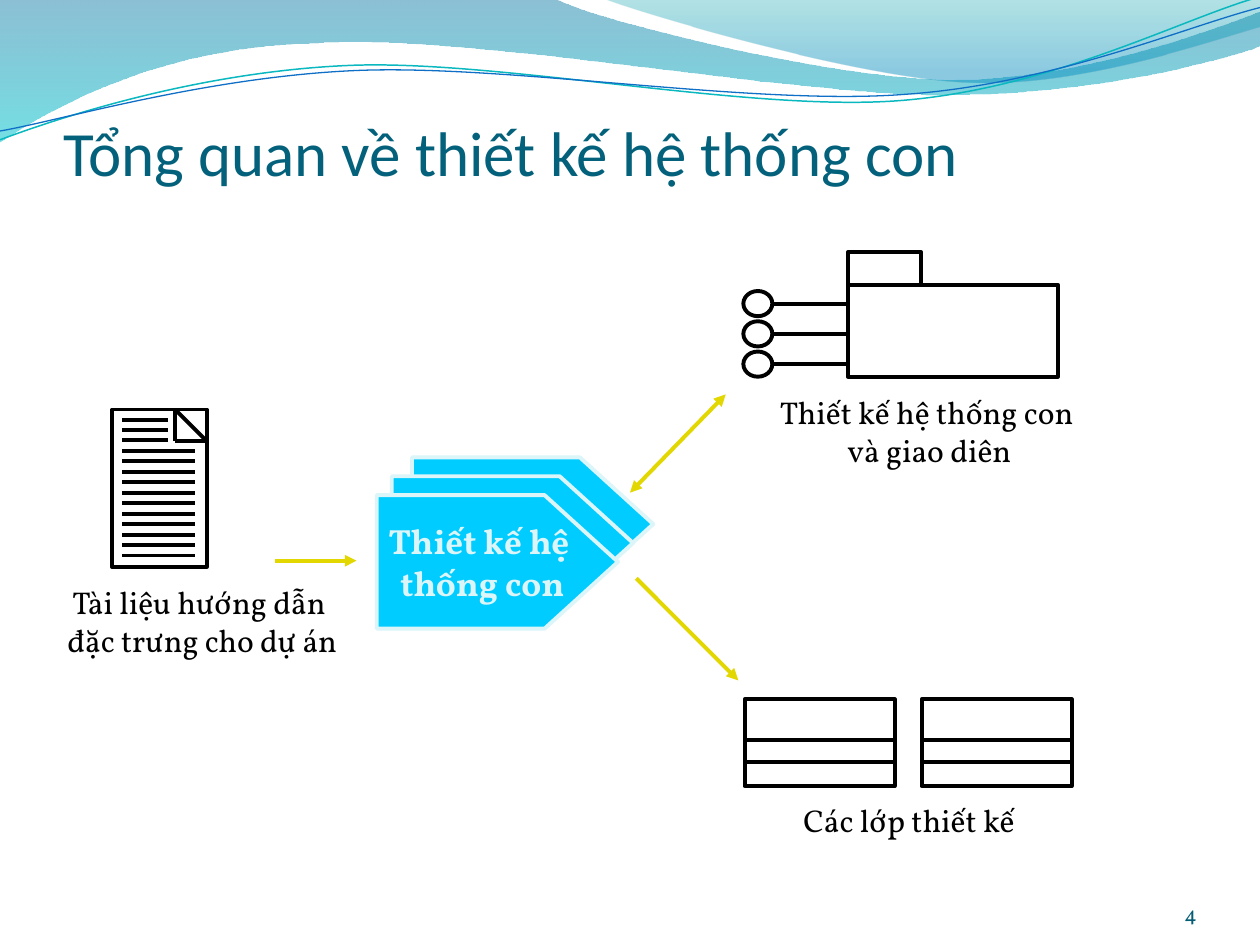
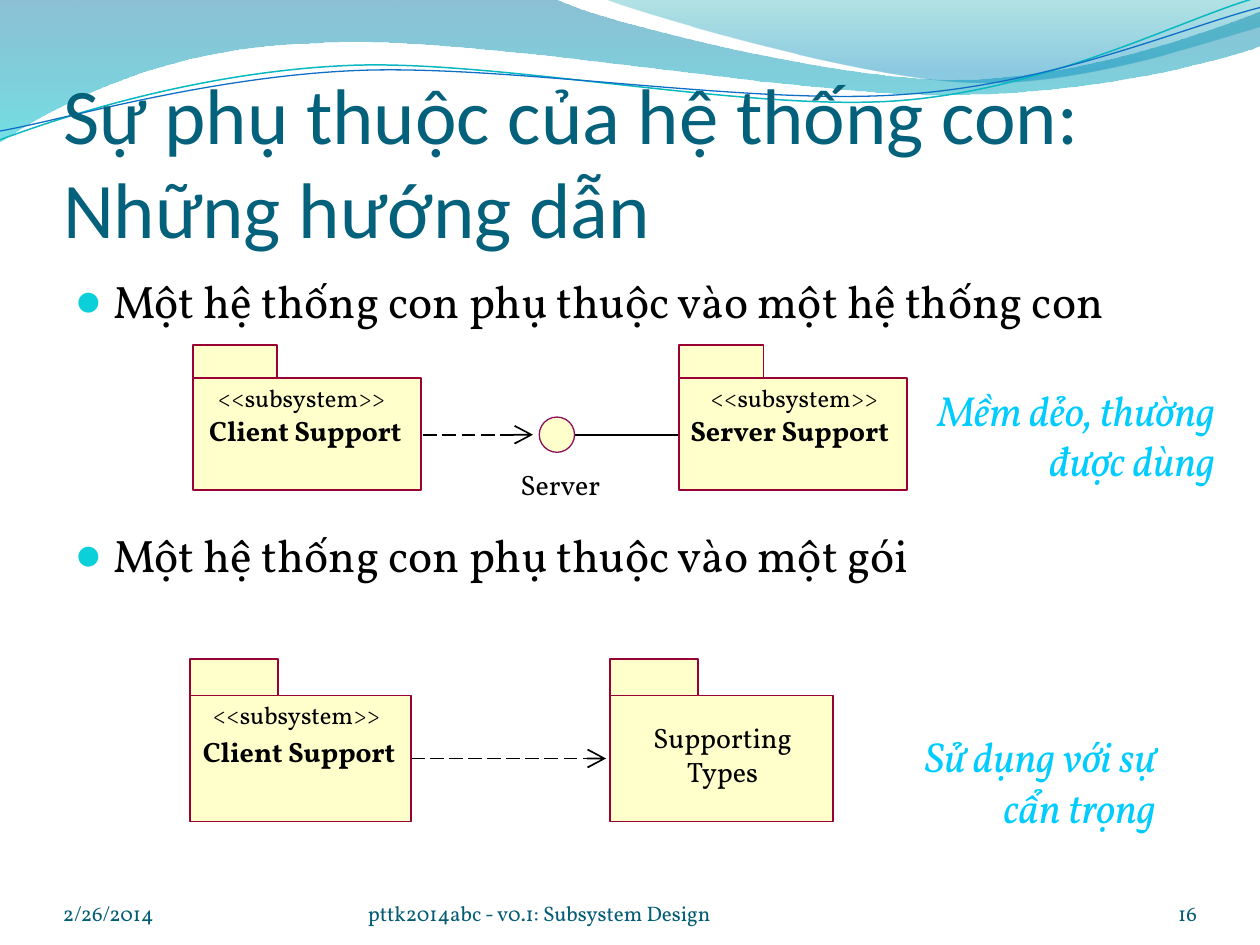
import dataclasses
import typing

import lxml.etree
import pptx
import pptx.dml.color
import pptx.enum.dml
import pptx.enum.shapes
import pptx.enum.text
import pptx.oxml.ns
import pptx.util

COLORS = {
    "title": "04617B", "footer": "045D75", "text": "000000", "bullet": "0BD0D9",
    "step": "00CCFF", "step_edge": "DBF5F9", "arrow": "E2D700", "note": "00CCFF",
    "package": "FFFFCC", "package_edge": "990033", "circle_edge": "8A0E5E",
    "deep": "0074A1", "aqua": "00C6CF", "teal": "00A1A9", "sky": "008BBF",
    "teal_line": "0AB8BF", "blue_line": "0F6FC6",
}
HEAD_FONT, BODY_FONT = "Calibri", "Vollkorn"
COLS, ROWS = 100, 75  # the slide's grid, with square cells
NO_INSETS = (0, 0, 0, 0)
SHAPE = pptx.enum.shapes.MSO_SHAPE
ANCHOR = pptx.enum.text.MSO_ANCHOR
ALIGN = {"l": pptx.enum.text.PP_ALIGN.LEFT, "c": pptx.enum.text.PP_ALIGN.CENTER,
         "r": pptx.enum.text.PP_ALIGN.RIGHT}
qn = pptx.oxml.ns.qn

prs = pptx.Presentation()
prs.slide_width, prs.slide_height = pptx.util.Inches(10), pptx.util.Inches(7.5)
CELL_W, CELL_H = prs.slide_width / COLS, prs.slide_height / ROWS


@dataclasses.dataclass
class Box:
    col: float
    row: float
    w: float
    h: float

    def emu(self) -> list[int]:
        return [round(self.col * CELL_W), round(self.row * CELL_H),
                round(self.w * CELL_W), round(self.h * CELL_H)]


@dataclasses.dataclass
class Wave:
    start: tuple
    steps: list  # two numbers: straight line; six numbers: cubic curve
    stops: tuple = ()  # gradient: position, colour, opacity
    line: typing.Optional[str] = None
    width: float = 0


@dataclasses.dataclass
class Package:
    body: Box
    tab_w: float
    tab_h: float
    name: str
    name_box: Box
    kind_col: typing.Optional[float] = None  # where <<subsystem>> starts


WAVES = [
    Wave((0, 0), [(44, -0.1), (47.6, 1.7, 66.4, 6.3, 75.8, 6.3),
                  (85.3, 6.3, 95.8, 2.6, 100, 0.9), (100.1, 3.6),
                  (98.3, 4.4, 87, 7.6, 74.6, 7.5), (62.2, 7.5, 38.2, 2.8, 25.7, 3.4),
                  (12.9, 3.6, 4.6, 8.3, -0.1, 11.3)],
         stops=((0, "deep", 45), (1, "aqua", 55))),
    Wave((47.9, -0.1), [(50.9, 1.1, 68.2, 6.2, 76.9, 6.5),
                        (85.6, 6.9, 96.1, 3.2, 100, 2.1), (100, 0)],
         stops=((0, "teal", 30), (0.8, "sky", 45))),
    Wave((0, 11.1), [(4.8, 9.3, 15.8, 5.7, 27.7, 5.2), (39.5, 4.7, 59.3, 8.9, 71.3, 8),
                     (83.3, 7.1, 93.8, 1.5, 99.8, -0.2)], line="teal_line", width=0.85),
    Wave((0, 10.4), [(4.7, 9.6, 16.4, 6.1, 28.3, 5.6), (40.3, 5.1, 59.7, 8.4, 71.7, 7.5),
                     (83.6, 6.7, 94.1, 2.1, 100, 0.6)], line="blue_line", width=0.75),
]


def rgb(name: str) -> pptx.dml.color.RGBColor:
    return pptx.dml.color.RGBColor.from_string(COLORS[name])


def write(sp, text: str, size: float = 18, color: str = "text", font: str = BODY_FONT,
          align: str = "l", anchor=ANCHOR.TOP, bold: bool = False, italic: bool = False,
          wrap: bool = True, insets: tuple = (0.1, 0.05, 0.1, 0.05)) -> None:
    """Fill a shape with text, one paragraph a line."""
    tf = sp.text_frame
    tf.auto_size = pptx.enum.text.MSO_AUTO_SIZE.NONE
    tf.word_wrap, tf.vertical_anchor = wrap, anchor
    tf.margin_left, tf.margin_top, tf.margin_right, tf.margin_bottom = map(
        pptx.util.Inches, insets)
    for i, line in enumerate(text.split("\n")):
        p = tf.add_paragraph() if i else tf.paragraphs[0]
        p.text, p.alignment = line, ALIGN[align]
        for r in p.runs:
            r.font.name, r.font.size = font, pptx.util.Pt(size)
            r.font.bold, r.font.italic = bold, italic
            r.font.color.rgb = rgb(color)


def label(s, box: Box, text: str, **fmt):
    sp = s.shapes.add_textbox(*box.emu())
    write(sp, text, **fmt)
    return sp


def paint(sp, fill: typing.Optional[str], line: typing.Optional[str], width: float) -> None:
    sp.shadow.inherit = False
    if fill:
        sp.fill.solid()
        sp.fill.fore_color.rgb = rgb(fill)
    else:
        sp.fill.background()
    if line:
        sp.line.color.rgb = rgb(line)
        sp.line.width = pptx.util.Pt(width)
    else:
        sp.line.fill.background()


def shape(s, kind, box: Box, fill: typing.Optional[str] = None,
          line: typing.Optional[str] = "text", width: float = 2.25):
    sp = s.shapes.add_shape(kind, *box.emu())
    paint(sp, fill, line, width)
    return sp


def connect(s, c1: float, r1: float, c2: float, r2: float, color: str = "text",
            width: float = 2.25, head: str = "", tail: str = "", dash: bool = False) -> None:
    cx = s.shapes.add_connector(
        pptx.enum.shapes.MSO_CONNECTOR.STRAIGHT, round(c1 * CELL_W), round(r1 * CELL_H),
        round(c2 * CELL_W), round(r2 * CELL_H))
    cx.line.color.rgb = rgb(color)
    cx.line.width = pptx.util.Pt(width)
    if dash:
        cx.line.dash_style = pptx.enum.dml.MSO_LINE.LONG_DASH
    spPr = cx.element.spPr
    for tag, kind in (("a:headEnd", head), ("a:tailEnd", tail)):
        if kind:
            size = "lg" if kind == "arrow" else "med"
            lxml.etree.SubElement(spPr.find(qn("a:ln")), qn(tag), type=kind, w=size, len=size)
    lxml.etree.SubElement(spPr, qn("a:effectLst"))


def draw_wave(s, wave: Wave):
    """Build the outline through all its points, then bend the curved steps."""
    pts = [(round(x * CELL_W), round(y * CELL_H)) for step in [wave.start, *wave.steps]
           for x, y in zip(step[::2], step[1::2])]
    fb = s.shapes.build_freeform(*pts[0], scale=1.0)
    fb.add_line_segments(pts[1:], close=bool(wave.stops))
    sp = fb.convert_to_shape()
    segments = iter(list(sp.element.iter(qn("a:lnTo"))))
    for step in wave.steps:
        first = next(segments)
        if len(step) == 6:
            first.tag_name = None
            curve = lxml.etree.Element(qn("a:cubicBezTo"))
            first.addprevious(curve)
            for segment in (first, next(segments), next(segments)):
                curve.append(segment[0])
                segment.getparent().remove(segment)
    paint(sp, None, wave.line, wave.width)
    if wave.stops:
        sp.fill.gradient()
        sp.fill.gradient_angle = 270
        for stop, (position, color, _) in zip(sp.fill.gradient_stops, wave.stops):
            stop.position, stop.color.rgb = position, rgb(color)
        colors = sp.element.spPr.iter(qn("a:srgbClr"))
        for clr, (_, _, opacity) in zip(list(colors), wave.stops):
            lxml.etree.SubElement(clr, qn("a:alpha"), val=str(opacity * 1000))
    return sp


def add_slide(title: str, size: float, title_rows: float, number: str):
    s = prs.slides.add_slide(layout)
    sp = s.shapes.title
    sp.left, sp.top, sp.width, sp.height = Box(5, 7.7, 90, title_rows).emu()
    write(sp, title, size=size, color="title", font=HEAD_FONT, anchor=ANCHOR.BOTTOM,
          insets=(0, 0.05, 0, 0))
    footer(s, 86.7, 8.3, number, "r")
    return s


def footer(s, col: float, w: float, text: str, align: str = "l") -> None:
    label(s, Box(col, 69.5, w, 4), text, size=12, color="footer", align=align,
          anchor=ANCHOR.BOTTOM, insets=NO_INSETS)


def plate(s, box: Box, text: str, **fmt) -> None:
    """Text on a plain patch of the package's colour."""
    write(shape(s, SHAPE.RECTANGLE, box, "package", None), text, insets=NO_INSETS, **fmt)


def draw_package(s, pk: Package) -> None:
    b = pk.body
    for box in (b, Box(b.col, b.row - pk.tab_h, pk.tab_w, pk.tab_h)):
        shape(s, SHAPE.RECTANGLE, box, "package", "package_edge", 1)
    if pk.kind_col is None:
        plate(s, pk.name_box, pk.name, size=16, align="c")
    else:
        plate(s, pk.name_box, pk.name, size=16, bold=True, wrap=False)
        plate(s, Box(pk.kind_col, b.row + 0.4, 13.9, 2.4), "<<subsystem>>", size=14, wrap=False)


# Shared title-only layout, with the waves behind everything
layout = prs.slide_layouts[5]

# Slide 1: overview of subsystem design
s = add_slide("Tổng quan về thiết kế hệ thống con", 36, 7.3, "4")
for i, wave in enumerate(WAVES):
    el = draw_wave(s, wave).element
    el.nvSpPr.cNvPr.set("id", str(100 + i))
    layout.shapes.element.insert(2 + i, el)

# Stacked process steps, the front one named
for col, row in ((32.7, 36.3), (31.1, 37.8), (29.9, 39.3)):
    step = shape(s, SHAPE.PENTAGON, Box(col, row, 19.15, 10.6), "step", "step_edge")
    step.adjustments[0] = 0.55
write(step, "Thiết kế hệ\n thống con", size=20, color="step_edge", bold=True,
      align="c", anchor=ANCHOR.MIDDLE, wrap=False)

# Subsystem with three interfaces
shape(s, SHAPE.RECTANGLE, Box(67.3, 22.6, 16.65, 7.3))
shape(s, SHAPE.RECTANGLE, Box(67.3, 20, 5.8, 2.6))
for i in range(3):
    row = 24.1 + 2.4 * i
    shape(s, SHAPE.OVAL, Box(59, row - 1, 2.3, 2))
    connect(s, 61.2, row, 67.3, row)
label(s, Box(60.4, 30.7, 26.3, 7.1), "Thiết kế hệ thống con\n và giao diên", align="c",
      wrap=False)

# Design classes
for col in (59.1, 73.15):
    shape(s, SHAPE.RECTANGLE, Box(col, 55.5, 11.9, 6.9))
    for row in (58.7, 60.5):
        connect(s, col, row, col + 11.9, row)
label(s, Box(60.5, 63.1, 23.3, 4), "Các lớp thiết kế", align="c")

# Guidelines document: folded corner, then lines of writing
shape(s, SHAPE.RECTANGLE, Box(8.9, 32.5, 7.5, 12.5))
corner = [(13.9, 32.5), (16.4, 35), (13.9, 35)]
for a, b in zip(corner, corner[1:] + corner[:1]):
    connect(s, *a, *b)
for i in range(14):
    row = 33.3 + 0.83 * i
    connect(s, 9.7, row, 13.3 if i < 3 else 15.5, row)
label(s, Box(3, 45.8, 25.6, 7.1), "Tài liệu hướng dẫn\n đặc trưng cho dự án", align="c",
      wrap=False)

# Flow between the parts
connect(s, 28.3, 44.5, 21.8, 44.5, "arrow", head="triangle")
connect(s, 50, 39.1, 57.6, 31.3, "arrow", head="triangle", tail="triangle")
connect(s, 50.5, 45.9, 58.6, 54, "arrow", tail="triangle")

# Slide 2: subsystem dependency guidelines
s = add_slide("Sự phụ thuộc của hệ thống con: Những hướng dẫn", 45, 12.5, "16")
footer(s, 5, 23.3, "2/26/2014")
footer(s, 29.2, 36.7, "pttk2014abc - v0.1: Subsystem Design")

# The two cases as bullets
cases = label(s, Box(5, 21.2, 90, 48), "Một hệ thống con phụ thuộc vào một hệ thống con\n"
              "Một hệ thống con phụ thuộc vào một gói", size=26)
cases.text_frame.paragraphs[1].space_before = pptx.util.Pt(114)
indent = round(3 * CELL_W)
for pPr in cases.element.iter(qn("a:pPr")):
    pPr.set("marL", str(indent))
    pPr.set("indent", str(-indent))
    clr = lxml.etree.SubElement(pPr, qn("a:buClr"))
    lxml.etree.SubElement(clr, qn("a:srgbClr"), val=COLORS["bullet"])
    lxml.etree.SubElement(pPr, qn("a:buSzPct"), val="95000")
    lxml.etree.SubElement(pPr, qn("a:buFont"), typeface=HEAD_FONT)
    lxml.etree.SubElement(pPr, qn("a:buChar"), char="●")

# Dependencies
connect(s, 33.6, 34.5, 42.3, 34.5, width=1, tail="arrow", dash=True)
connect(s, 44.1, 34.5, 55.2, 34.5, width=1)
connect(s, 32.6, 60.2, 48.1, 60.2, width=1, tail="arrow", dash=True)

# Packages and the server interface
for pk in (
    Package(Box(15.3, 30, 18.1, 8.9), 6.7, 2.6, "Client Support",
            Box(16.6, 32.8, 15.3, 2.7), 17.3),
    Package(Box(53.9, 30, 18.1, 8.9), 6.7, 2.6, "Server Support",
            Box(54.8, 32.8, 16, 2.7), 56.4),
    Package(Box(15.1, 55.2, 17.5, 10), 7, 2.9, "Client Support",
            Box(16.1, 58.3, 15.3, 2.7), 16.9),
    Package(Box(48.4, 55.2, 17.7, 10), 7, 2.9, "Supporting\vTypes",
            Box(51.6, 57.2, 11.5, 5.3)),
):
    draw_package(s, pk)
shape(s, SHAPE.OVAL, Box(42.8, 33.1, 2.8, 2.8), "package", "circle_edge", 0)
label(s, Box(41.3, 37.1, 6.6, 2.7), "Server", size=16, wrap=False, insets=NO_INSETS)

# Advice beside each case
for box, text in ((Box(73.4, 30, 24, 13.1), "Mềm dẻo, thường được dùng"),
                  (Box(68.2, 57.5, 24.5, 9.1), "Sử dụng với sự cẩn trọng")):
    label(s, box, text, size=24, color="note", italic=True, align="r")

prs.save("out.pptx")
